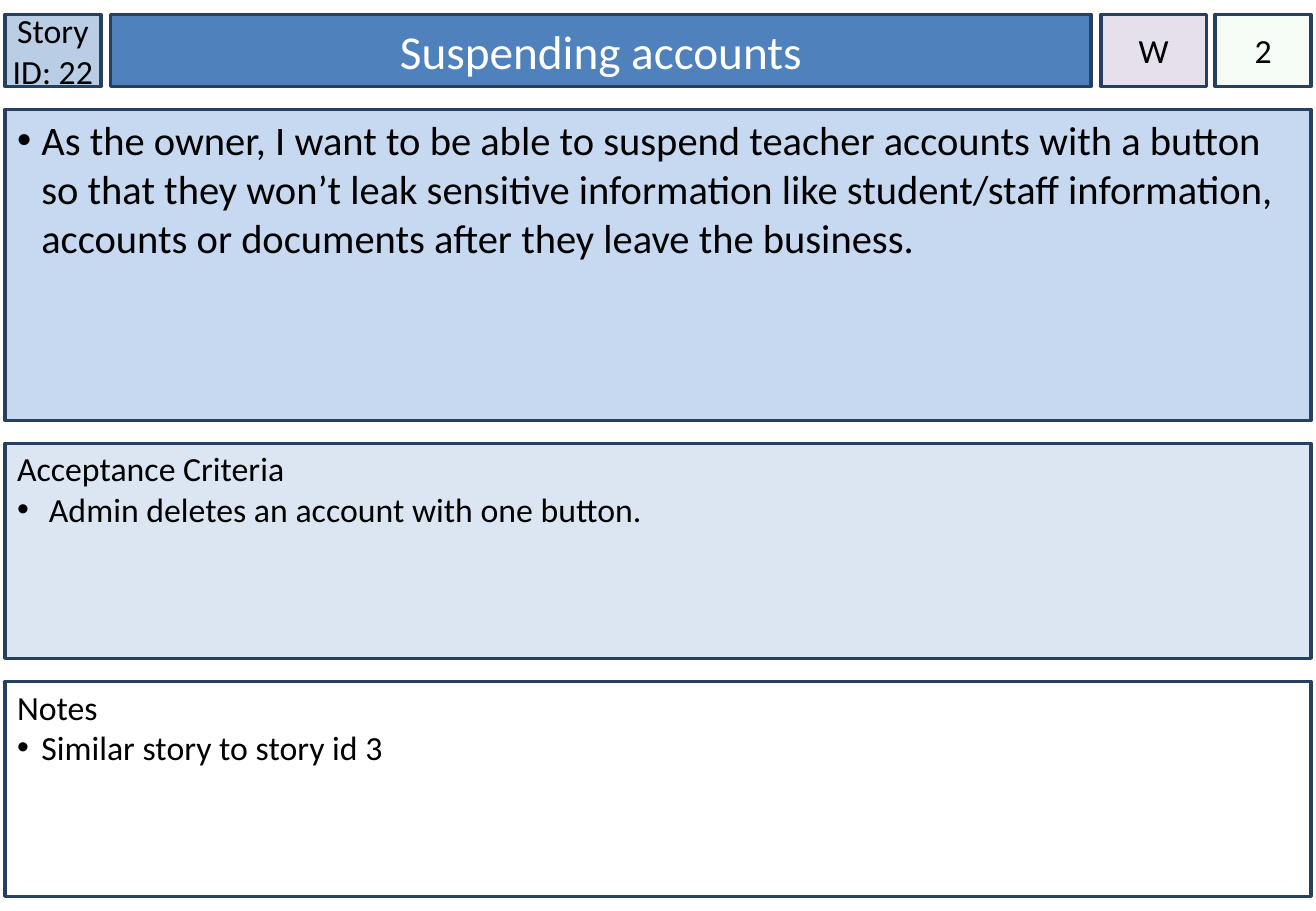
import pptx
import pptx.util
import pptx.dml.color
import pptx.enum.shapes
import pptx.enum.text
import pptx.oxml.ns
import lxml.etree

Inches = pptx.util.Inches
Pt = pptx.util.Pt
Align = pptx.enum.text.PP_ALIGN
Anchor = pptx.enum.text.MSO_ANCHOR

COLORS = {
    "line": "254061", "text": "000000", "light": "FFFFFF", "id": "B9CDE5",
    "title": "4F81BD", "story": "C6D9F1", "tests": "DCE6F2", "notes": "FFFFFF",
    "rank": "E6E0EC", "points": "CCF0CD",
}
LEFT, WIDTH = 0.04, 10.75
TOP, HEIGHT = 0.12, 0.59
INDENT = 0.2


def color(name):
    return pptx.dml.color.RGBColor.from_string(COLORS[name])


def apply(item, values):
    for key, value in values.items():
        setattr(item, key, value)


def add_node(parent, tag, **attrs):
    node = lxml.etree.SubElement(parent, pptx.oxml.ns.qn(tag))
    for key, value in attrs.items():
        node.set(key, value)


def paint(shape, name, box):
    places = ("left", "top", "width", "height")
    apply(shape, {key: Inches(size) for key, size in zip(places, box)})
    shape.fill.solid()
    shape.fill.fore_color.rgb = color(name)
    shape.line.color.rgb = color("line")
    shape.line.width = Pt(2)


def set_frame(shape, anchor, side=0.1, top=0.05):
    apply(shape.text_frame, {
        "word_wrap": True, "auto_size": pptx.enum.text.MSO_AUTO_SIZE.NONE,
        "vertical_anchor": anchor, "margin_left": Inches(side),
        "margin_right": Inches(side), "margin_top": Inches(top),
        "margin_bottom": Inches(0.05),
    })


def write(para, text, size, align, ink="text"):
    apply(para, {"text": text, "alignment": align, "line_spacing": 1.0,
                 "space_before": Pt(0), "space_after": Pt(0)})
    apply(para.font, {"name": "Calibri", "size": Pt(size), "bold": False})
    para.font.color.rgb = color(ink)


def set_mark(para, listed):
    props = para._p.get_or_add_pPr()
    indent = Inches(INDENT) if listed else 0
    props.set("marL", str(indent))
    props.set("indent", str(-indent))
    if listed:
        add_node(props, "a:buFont", typeface="Arial")
        add_node(props, "a:buChar", char="•")
    else:
        add_node(props, "a:buNone")


def add_tag(slide, name, text, left, width):
    shape = slide.shapes.add_shape(
        pptx.enum.shapes.MSO_SHAPE.RECTANGLE, 0, 0, 0, 0)
    shape.shadow.inherit = False
    paint(shape, name, (left, TOP, width, HEIGHT))
    set_frame(shape, Anchor.MIDDLE, side=0)
    write(shape.text_frame.paragraphs[0], text, 20, Align.CENTER)
    return shape


def fill_title(shape, text):
    paint(shape, "title", (0.91, TOP, 8.07, HEIGHT))
    set_frame(shape, Anchor.MIDDLE)
    write(shape.text_frame.paragraphs[0], text, 28, Align.CENTER, "light")


def fill_panel(shape, name, top, height, size, items, head=None):
    paint(shape, name, (LEFT, top, WIDTH, height))
    set_frame(shape, Anchor.TOP, top=0.04 if head else 0.05)
    frame = shape.text_frame
    lines = ([(head, False)] if head else []) + [(item, True) for item in items]
    for count, (text, listed) in enumerate(lines):
        para = frame.add_paragraph() if count else frame.paragraphs[0]
        write(para, text, size, Align.LEFT)
        set_mark(para, listed)


def fade(shape, percent):
    tint = shape.fill._xPr.find(".//" + pptx.oxml.ns.qn("a:srgbClr"))
    add_node(tint, "a:alpha", val=str(percent * 1000))


def main():
    deck = pptx.Presentation()
    deck.slide_width, deck.slide_height = Inches(10.83), Inches(7.5)
    slide = deck.slides.add_slide(deck.slide_layouts.get_by_name("Comparison"))
    fill_title(slide.shapes.title, "Suspending accounts")
    story, tests, notes, spare = [
        shape for shape in slide.placeholders
        if 1 <= shape.placeholder_format.idx <= 4]
    spare.element.getparent().remove(spare.element)

    fill_panel(story, "story", 0.9, 2.56, 24, [
        "As the owner, I want to be able to suspend teacher accounts with a "
        "button so that they won’t leak sensitive information like "
        "student/staff information, accounts or documents after they leave "
        "the business."])
    fill_panel(tests, "tests", 3.65, 1.77, 20,
               [" Admin deletes an account with one button."],
               "Acceptance Criteria")
    fill_panel(notes, "notes", 5.61, 1.77, 20,
               ["Similar story to story id 3"], "Notes")

    add_tag(slide, "id", "Story ID: 22", LEFT, 0.79)
    add_tag(slide, "rank", "W", 9.06, 0.87)
    fade(add_tag(slide, "points", "2", 10, 0.79), 20)
    deck.save("out.pptx")


main()
